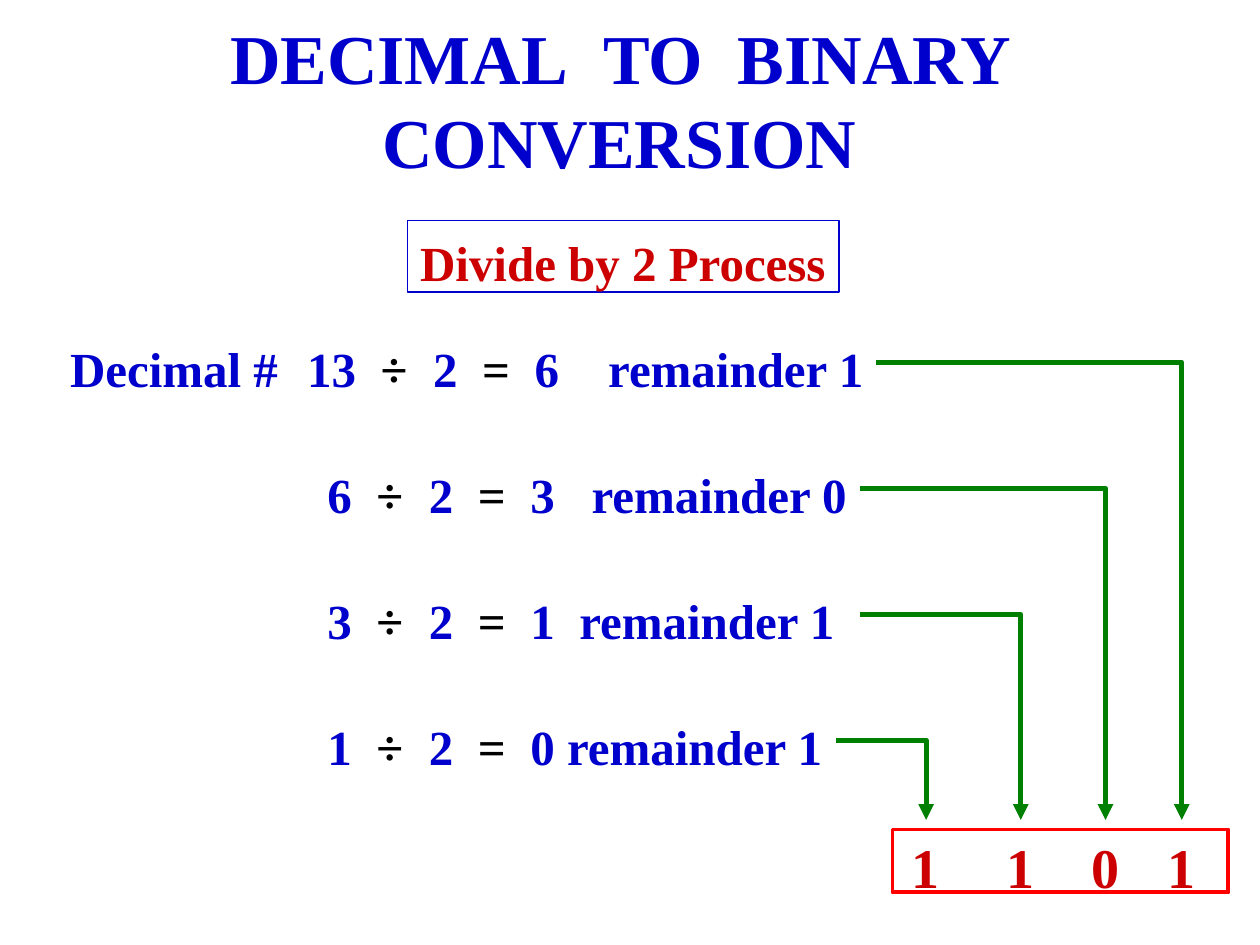
from lxml import etree
from pptx import Presentation
from pptx.dml.color import RGBColor
from pptx.enum.shapes import MSO_CONNECTOR, MSO_SHAPE
from pptx.enum.text import MSO_ANCHOR, MSO_AUTO_SIZE, PP_ALIGN
from pptx.oxml.ns import qn
from pptx.util import Pt

ELBOW = MSO_CONNECTOR.ELBOW
RECT = MSO_SHAPE.RECTANGLE
TOP, BOTTOM = MSO_ANCHOR.TOP, MSO_ANCHOR.BOTTOM
FIXED = MSO_AUTO_SIZE.NONE
LEFT, CENTER = PP_ALIGN.LEFT, PP_ALIGN.CENTER

FONT = "Times New Roman"
BLUE, RED, BLACK, GREEN = "0000CC", "CC0000", "000000", "008000"
STEPS = [
    ("13", "6", "1", 4, (168.5, 186.5, 332, 41)),
    ("6", "3", "0", 3, (180, 258.5, 311.5, 41)),
    ("3", "1", "1", 2, (180, 330.5, 311.5, 41)),
    ("1", "0", "1", 1, (180, 402.5, 298, 41)),
]
SLOTS = [660, 616.5, 568, 514]


def color(code):
    return RGBColor.from_string(code)


def style(run, size, code):
    font = run.font
    font.name, font.size, font.bold = FONT, Pt(size), True
    font.color.rgb = color(code)


def place(shape, box):
    shape.left, shape.top, shape.width, shape.height = map(Pt, box)


def add_title(slide, box):
    title = slide.shapes.title
    place(title, box)
    frame = title.text_frame
    frame.auto_size, frame.vertical_anchor = FIXED, BOTTOM
    para = frame.paragraphs[0]
    para.alignment = CENTER
    for text in ("DECIMAL", " ", "TO", " ", "BINARY CONVERSION"):
        run = para.add_run()
        run.text = text
        style(run, 40, BLUE)
        if text == " ":
            run.font._element.set("spc", "1000")


def set_frame(shape):
    frame = shape.text_frame
    frame.word_wrap, frame.auto_size = True, FIXED
    frame.vertical_anchor = TOP
    frame.margin_top, frame.margin_right = Pt(7), 0
    frame.paragraphs[0].alignment = LEFT
    return frame.paragraphs[0]


def add_label(slide, box, text, size, code):
    label = slide.shapes.add_textbox(*map(Pt, box))
    para = set_frame(label)
    para.text = text
    style(para.runs[0], size, code)
    return label


def add_frame(slide, box, code, width):
    shape = slide.shapes.add_shape(RECT, *map(Pt, box))
    shape.shadow.inherit = False
    shape.fill.background()
    shape.line.color.rgb = color(code)
    shape.line.width = Pt(width)
    return shape


def add_banner(slide, box):
    para = set_frame(add_frame(slide, box, BLUE, 0.75))
    para.text = "Divide by 2 Process"
    style(para.runs[0], 28, RED)


def add_step(slide, box, number, result, bit, gap):
    row = slide.shapes.add_textbox(*map(Pt, box))
    para = set_frame(row)
    shift = 14 * (len(number) - 1)
    tabs = etree.SubElement(para._p.get_or_add_pPr(), qn("a:tabLst"))
    for stop in (28, 58, 86, 116, 130 + 7 * gap):
        tab = etree.SubElement(tabs, qn("a:tab"))
        tab.set("pos", str(Pt(shift + stop)))
        tab.set("algn", "l")
    space = "\t" if gap > 1 else " "
    tail = f"\t{result}{space}remainder {bit}"
    for text in (f"{number}\t", "÷", "\t2\t", "=", tail):
        run = para.add_run()
        run.text = text
        style(run, 28, BLACK if text in "÷=" else BLUE)
    return row


def add_arrow(slide, row, digit):
    arrow = slide.shapes.add_connector(ELBOW, 0, 0, 0, 0)
    arrow.begin_connect(row, 3)
    arrow.end_connect(digit, 0)
    arrow.line.color.rgb = color(GREEN)
    arrow.line.width = Pt(3)
    props = arrow._element.spPr
    props.find(qn("a:prstGeom")).set("prst", "bentConnector2")
    head = etree.SubElement(props.find(qn("a:ln")), qn("a:tailEnd"))
    head.set("type", "triangle")
    etree.SubElement(props, qn("a:effectLst"))


def add_steps(slide):
    add_label(slide, (33, 186.5, 133, 41), "Decimal #", 28, BLUE)
    for (number, result, bit, gap, box), left in zip(STEPS, SLOTS):
        row = add_step(slide, box, number, result, bit, gap)
        digit = add_label(slide, (left, 468.5, 30.5, 46), bit, 32, RED)
        add_arrow(slide, row, digit)
    add_frame(slide, (510, 474, 192, 36), "FF0000", 2.25)


def main():
    deck = Presentation()
    deck.slide_width, deck.slide_height = Pt(720), Pt(540)
    slide = deck.slides.add_slide(deck.slide_layouts[5])
    add_title(slide, (90, 18, 528, 90))
    add_banner(slide, (233, 126, 246.5, 41))
    add_steps(slide)
    deck.save("out.pptx")


if __name__ == "__main__":
    main()
